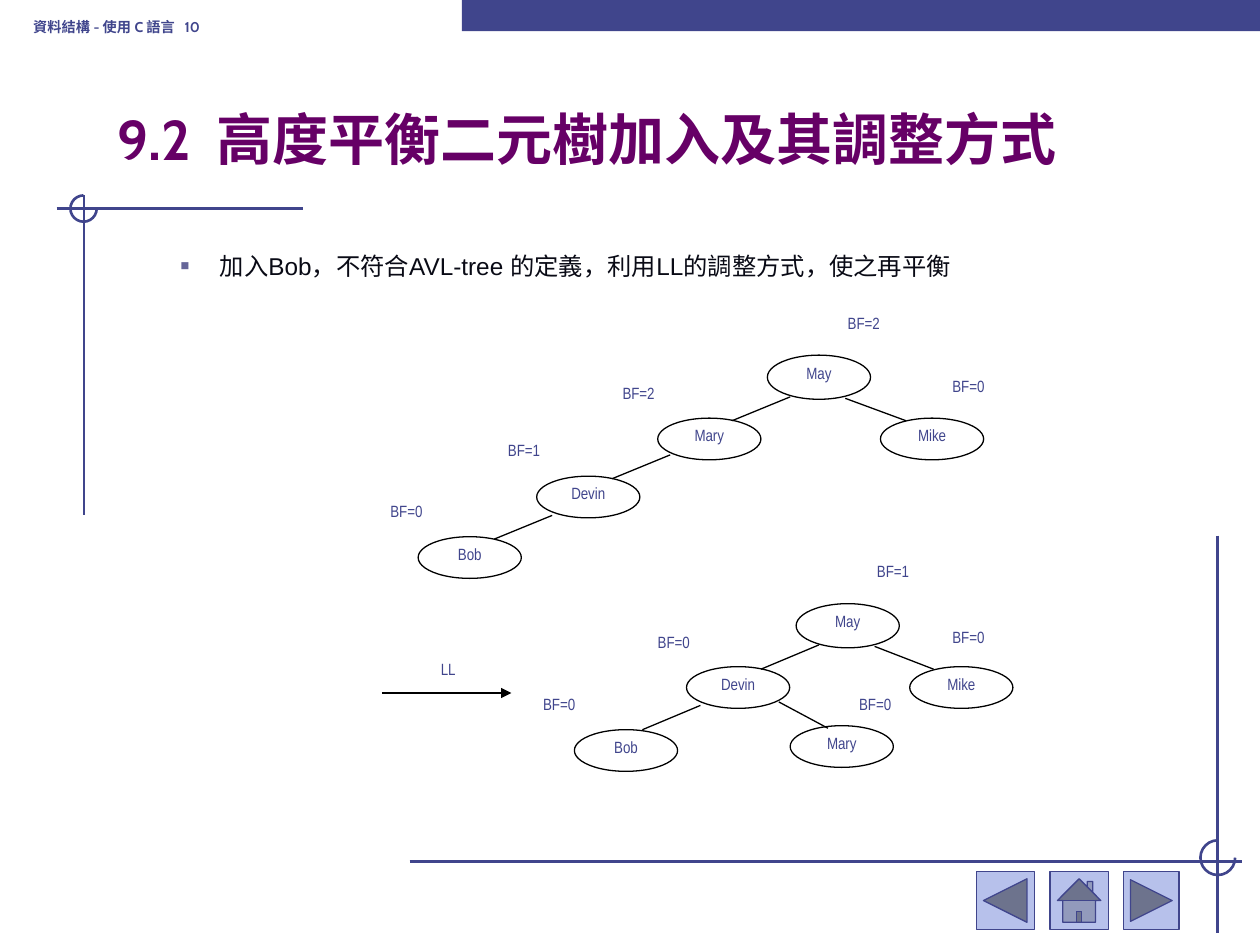
from lxml import etree
from pptx import Presentation
from pptx.dml.color import RGBColor
from pptx.enum.shapes import MSO_CONNECTOR, MSO_SHAPE
from pptx.enum.text import MSO_ANCHOR, PP_ALIGN
from pptx.oxml.ns import qn
from pptx.util import Cm, Pt

INDIGO = RGBColor(0x40, 0x45, 0x8C)
PERIWINKLE = RGBColor(0xB7, 0xC1, 0xEB)
PURPLE = RGBColor(0x66, 0x00, 0x66)
INK = RGBColor(0x09, 0x0A, 0x15)
BLACK = RGBColor(0x00, 0x00, 0x00)
STRAIGHT = MSO_CONNECTOR.STRAIGHT
ELLIPSE, RECTANGLE, ARC = MSO_SHAPE.OVAL, MSO_SHAPE.RECTANGLE, MSO_SHAPE.ARC
BACK = MSO_SHAPE.ACTION_BUTTON_BACK_OR_PREVIOUS
HOME = MSO_SHAPE.ACTION_BUTTON_HOME
FORWARD = MSO_SHAPE.ACTION_BUTTON_FORWARD_OR_NEXT
TOP, BOTTOM = MSO_ANCHOR.TOP, MSO_ANCHOR.BOTTOM
LEFT, CENTER = PP_ALIGN.LEFT, PP_ALIGN.CENTER

presentation = Presentation()
presentation.slide_width, presentation.slide_height = Cm(25.4), Cm(19.05)
slide = presentation.slides.add_slide(presentation.slide_layouts[6])
shapes = slide.shapes


def write(holder, text, size=9.3, font="Arial Narrow", color=INDIGO, bold=False,
          align=LEFT, anchor=TOP, insets=(0, 0.05), spacing=0.96, bullet=None):
    frame = holder.text_frame
    frame.word_wrap = True
    frame.vertical_anchor = anchor
    frame.margin_left = frame.margin_right = Cm(insets[0])
    frame.margin_top = frame.margin_bottom = Cm(insets[1])
    paragraph = frame.paragraphs[0]
    paragraph.alignment = align
    paragraph.line_spacing = spacing
    if bullet:
        properties = paragraph._p.get_or_add_pPr()
        properties.set("marL", str(Cm(2.06)))
        properties.set("indent", str(Cm(-0.79)))
        bullet_color = etree.SubElement(properties, qn("a:buClr"))
        etree.SubElement(bullet_color, qn("a:srgbClr"), val="666699")
        etree.SubElement(properties, qn("a:buSzPct"), val="60000")
        etree.SubElement(properties, qn("a:buFont"), typeface="Arial")
        etree.SubElement(properties, qn("a:buChar"), char=bullet)
    run = paragraph.add_run()
    run.text = text
    run.font.size = Pt(size)
    run.font.name = font
    run.font.bold = bold
    run.font.color.rgb = color


def draw_line(x1, y1, x2, y2, color=BLACK, width=0.75, arrow=False):
    line = shapes.add_connector(STRAIGHT, Cm(x1), Cm(y1), Cm(x2), Cm(y2))
    line.line.color.rgb = color
    line.line.width = Pt(width)
    if arrow:
        etree.SubElement(line.line._get_or_add_ln(), qn("a:tailEnd"), type="triangle")
    etree.SubElement(line._element.spPr, qn("a:effectLst"))


for ends in [(1.14, 4.2, 6.1, 4.2), (1.69, 3.94, 1.69, 10.39),
             (8.26, 17.37, 25.04, 17.37), (24.54, 10.8, 24.54, 18.8)]:
    draw_line(*ends, color=INDIGO, width=1.5)

for left, top, diameter in [(1.42, 3.94, 0.53), (24.2, 16.94, 0.7)]:
    corner = shapes.add_shape(ARC, Cm(left), Cm(top), Cm(diameter), Cm(diameter))
    corner.adjustments[0] = 0
    corner.adjustments[1] = 162
    corner.shadow.inherit = False
    corner.fill.background()
    corner.line.color.rgb = INDIGO
    corner.line.width = Pt(1.5)

banner = shapes.add_shape(RECTANGLE, Cm(9.31), 0, Cm(16.09), Cm(0.63))
banner.shadow.inherit = False
banner.fill.solid()
banner.fill.fore_color.rgb = INDIGO
banner.line.fill.background()

for kind, left, width in [(BACK, 19.68, 1.17), (HOME, 21.17, 1.17), (FORWARD, 22.65, 1.12)]:
    button = shapes.add_shape(kind, Cm(left), Cm(17.57), Cm(width), Cm(1.17))
    button.shadow.inherit = False
    button.fill.solid()
    button.fill.fore_color.rgb = PERIWINKLE
    button.line.color.rgb = INDIGO
    button.line.width = Pt(0.75)

book = shapes.add_textbox(Cm(0.42), Cm(-0.42), Cm(7.82), Cm(1.27))
write(book, "資料結構 - 使用 C 語言   10", size=8.1, font="Cabin", bold=True,
      anchor=BOTTOM, insets=(0.25, 0.13), spacing=1)
title = shapes.add_textbox(Cm(2.12), Cm(1.48), Cm(21.59), Cm(2.12))
write(title, "9.2  高度平衡二元樹加入及其調整方式", size=32, font="Cabin", color=PURPLE,
      bold=True, anchor=BOTTOM, insets=(0.25, 0.13), spacing=1)
body = shapes.add_textbox(Cm(2.12), Cm(4.93), Cm(22.38), Cm(10.34))
write(body, "加入Bob，不符合AVL-tree 的定義，利用LL的調整方式，使之再平衡", size=13.9,
      font="Arial", color=INK, insets=(0.25, 0.13), spacing=1, bullet="■")

nodes = [
    ("May", 15.47, 7.16, "BF=2", 17.09, 6.3),
    ("Mike", 17.75, 8.43, "BF=0", 19.2, 7.57),
    ("Mary", 13.26, 8.43, "BF=2", 12.55, 7.7),
    ("Devin", 10.82, 9.6, "BF=1", 10.24, 8.86),
    ("Bob", 8.43, 10.82, "BF=0", 7.87, 10.08),
    ("May", 16.05, 12.17, "BF=1", 17.68, 11.28),
    ("Mike", 18.34, 13.44, "BF=0", 19.2, 12.62),
    ("Devin", 13.84, 13.44, "BF=0", 13.26, 12.73),
    ("Bob", 11.58, 14.71, "BF=0", 10.95, 13.97),
    ("Mary", 15.93, 14.63, "BF=0", 17.32, 13.97),
]
for name, left, top, factor, factor_left, factor_top in nodes:
    height = 0.89 if name == "May" else 0.84
    node = shapes.add_shape(ELLIPSE, Cm(left), Cm(top), Cm(2.08), Cm(height))
    node.shadow.inherit = False
    node.fill.background()
    node.line.color.rgb = BLACK
    node.line.width = Pt(0.75)
    write(node, name, align=CENTER)
    balance = shapes.add_textbox(Cm(factor_left), Cm(factor_top), Cm(1.75), Cm(0.56))
    write(balance, factor)

for ends in [(15.93, 8, 14.76, 8.48), (17.04, 8.03, 18.26, 8.48),
             (13.51, 9.17, 12.34, 9.65), (11.13, 10.39, 9.96, 10.87),
             (16.51, 13, 15.34, 13.49), (17.63, 13.03, 18.82, 13.49),
             (14.12, 14.22, 12.95, 14.71), (15.7, 14.15, 16.69, 14.68)]:
    draw_line(*ends)

rotation = shapes.add_textbox(Cm(8.31), Cm(13.26), Cm(1.45), Cm(0.74))
write(rotation, "LL", align=CENTER)
draw_line(7.7, 13.97, 10.31, 13.97, arrow=True)

presentation.save("out.pptx")
